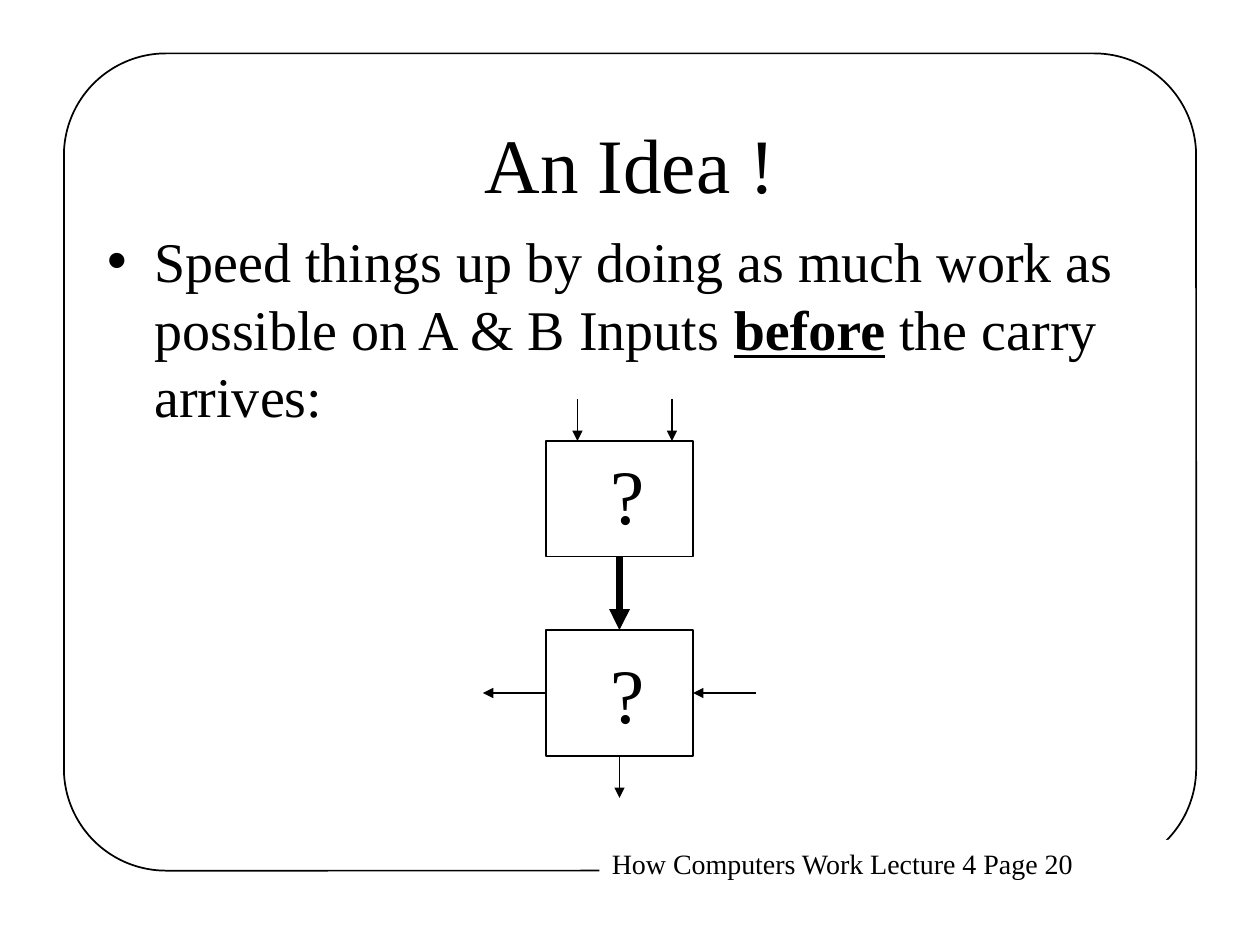
from lxml import etree
from pptx import Presentation
from pptx.dml.color import RGBColor
from pptx.enum.shapes import MSO_CONNECTOR, MSO_SHAPE
from pptx.enum.text import MSO_ANCHOR, MSO_AUTO_SIZE, PP_ALIGN
from pptx.oxml.ns import qn
from pptx.util import Pt

BLACK = RGBColor(0, 0, 0)
WHITE = RGBColor(255, 255, 255)
STRAIGHT = MSO_CONNECTOR.STRAIGHT
RECTANGLE, ROUNDED = MSO_SHAPE.RECTANGLE, MSO_SHAPE.ROUNDED_RECTANGLE
TOP, MIDDLE = MSO_ANCHOR.TOP, MSO_ANCHOR.MIDDLE
NO_AUTOFIT = MSO_AUTO_SIZE.NONE
LEFT, CENTER = PP_ALIGN.LEFT, PP_ALIGN.CENTER


def write(shape, spans, size, align=LEFT, anchor=TOP, wrap=True):
    """Fill a shape with one paragraph of (text, font values) spans."""
    frame = shape.text_frame
    frame.auto_size = NO_AUTOFIT
    frame.word_wrap = wrap
    frame.vertical_anchor = anchor
    para = frame.paragraphs[0]
    para.alignment = align
    para.space_before = Pt(0)
    for text, values in spans:
        span = para.add_run()
        span.text = text
        span.font.color.rgb = BLACK
        for name, value in {"name": "Times New Roman", "size": Pt(size), **values}.items():
            setattr(span.font, name, value)
    return para


def add_outline(kind, left, top, width, height):
    shape = slide.shapes.add_shape(kind, Pt(left), Pt(top), Pt(width), Pt(height))
    shape.shadow.inherit = False
    shape.fill.background()
    shape.line.color.rgb = BLACK
    shape.line.width = Pt(1)
    return shape


deck = Presentation()
deck.slide_width, deck.slide_height = Pt(720), Pt(540)
slide = deck.slides.add_slide(deck.slide_layouts[1])

# Page frame and footer
frame_box = add_outline(ROUNDED, 36.5, 30.5, 647, 467)
frame_box.adjustments[0] = 0.125
footer = slide.shapes.add_textbox(Pt(342.5), Pt(480), Pt(330.5), Pt(27))
footer.fill.solid()
footer.fill.fore_color.rgb = WHITE
write(footer, [("How Computers Work Lecture 4 Page 20", {})], 16, wrap=False)

# Title and bullet
title, body = slide.placeholders
for holder, top, height in ((title, 48, 90), (body, 126, 324)):
    holder.left, holder.top, holder.width, holder.height = Pt(54), Pt(top), Pt(612), Pt(height)
write(title, [("An Idea !", {})], 44, align=CENTER, anchor=MIDDLE)
bullet = write(body, [
    ("Speed things up by doing as much work as possible on A & B Inputs ", {}),
    ("before", {"bold": True, "underline": True}),
    (" the carry arrives:", {}),
], 32)
properties = bullet._p.get_or_add_pPr()
properties.set("marL", str(Pt(27)))
properties.set("indent", str(Pt(-27)))
etree.SubElement(properties, qn("a:buChar"), char="•")

# Two unknown blocks
for top, height, mark_top in ((252, 66, 252), (360, 72, 366)):
    add_outline(RECTANGLE, 312, top, 84, height)
    mark = slide.shapes.add_textbox(Pt(342), Pt(mark_top), Pt(34), Pt(60))
    write(mark, [("?", {})], 44, wrap=False)

# Signals: start x, start y, end x, end y, width
for x1, y1, x2, y2, weight in (
    (384, 228, 384, 252, 1),
    (330, 228, 330, 252, 1),
    (354, 318, 354, 360, 4),
    (432, 396, 396, 396, 1),
    (312, 396, 276, 396, 1),
    (354, 432, 354, 456, 1),
):
    arrow = slide.shapes.add_connector(STRAIGHT, Pt(x1), Pt(y1), Pt(x2), Pt(y2))
    arrow.line.color.rgb = BLACK
    arrow.line.width = Pt(weight)
    etree.SubElement(arrow.line._get_or_add_ln(), qn("a:tailEnd"), type="triangle")
    etree.SubElement(arrow._element.spPr, qn("a:effectLst"))

deck.save("out.pptx")
